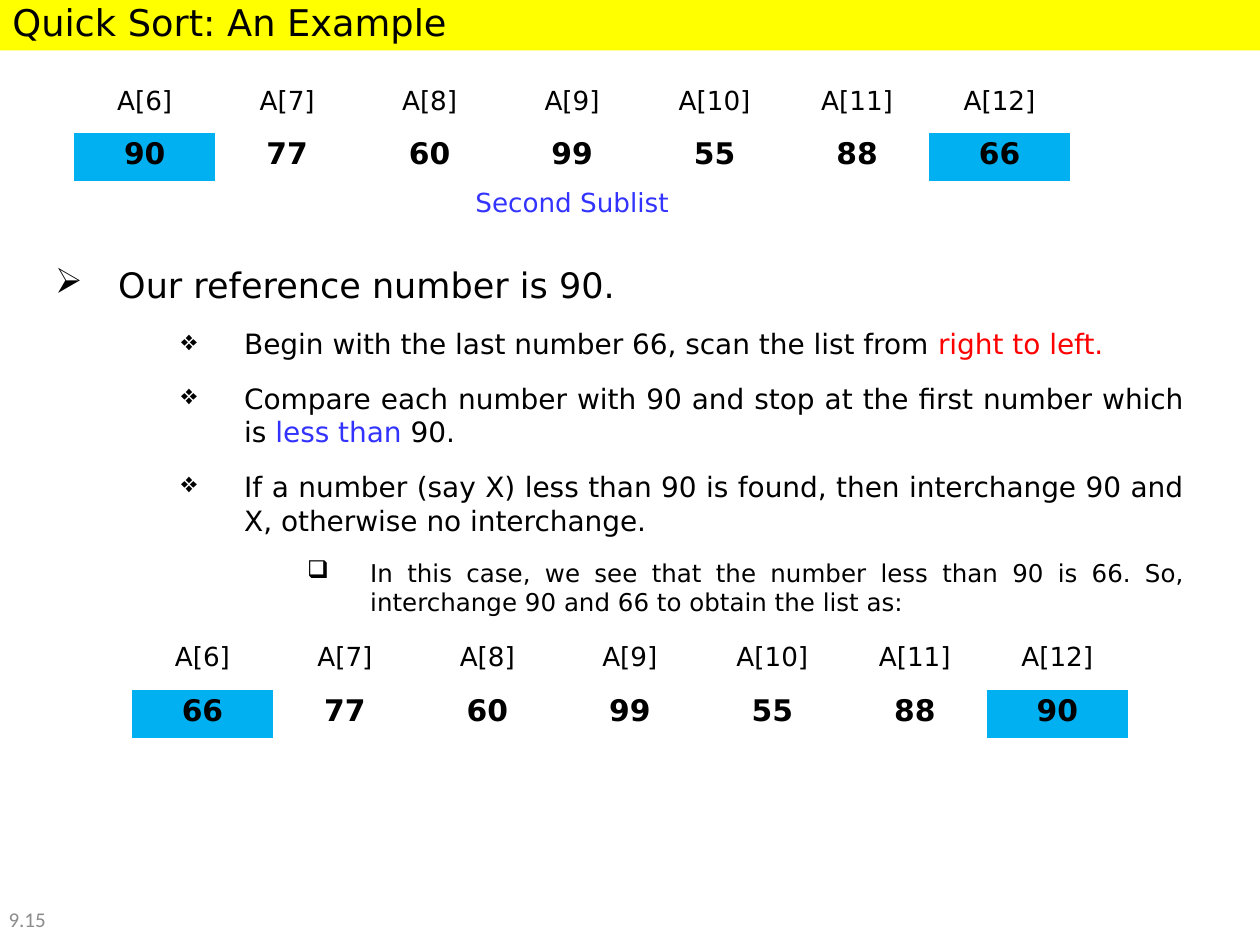
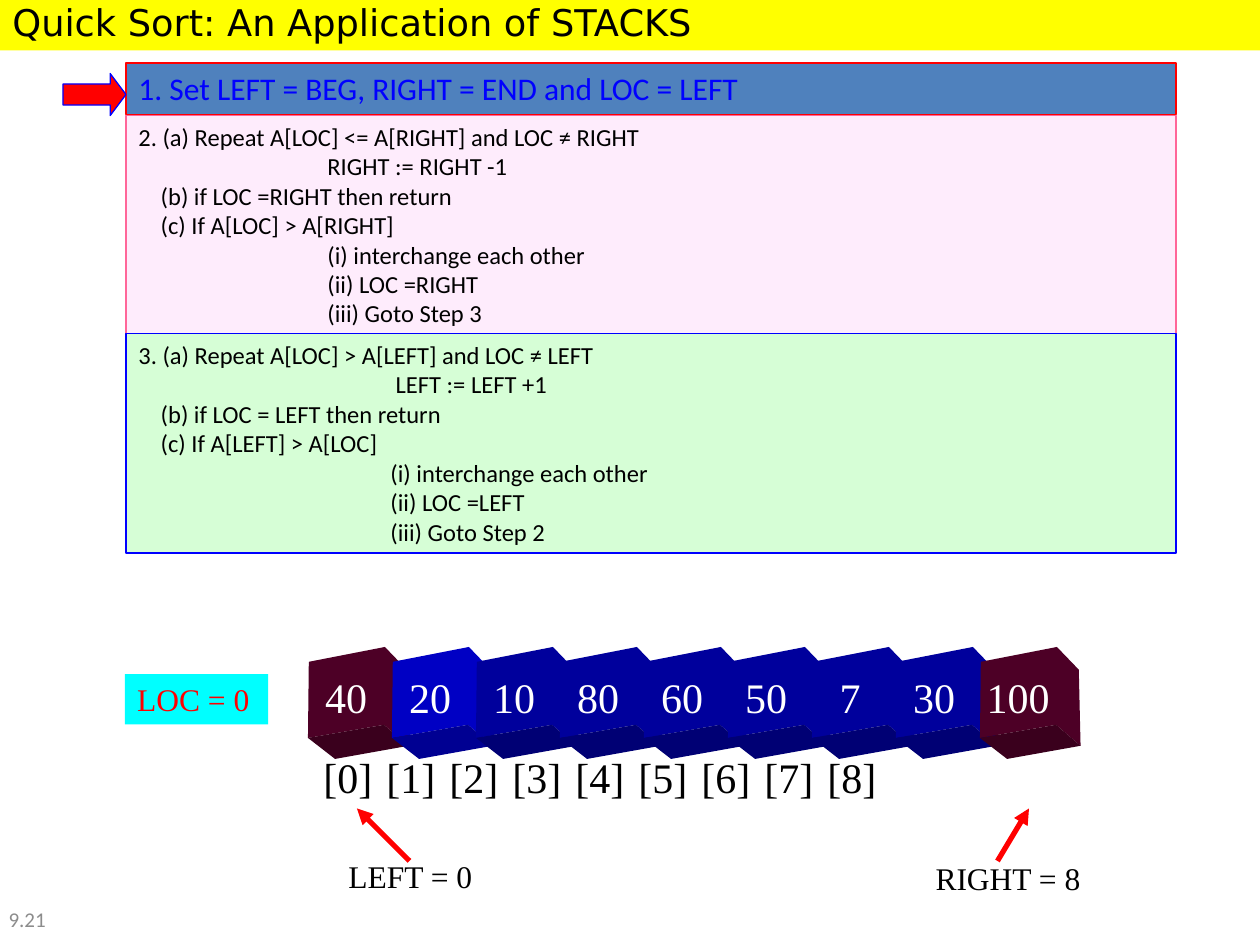
from lxml import etree
from pptx import Presentation
from pptx.dml.color import RGBColor
from pptx.enum.shapes import MSO_CONNECTOR, MSO_SHAPE
from pptx.enum.text import MSO_ANCHOR, PP_ALIGN
from pptx.oxml.ns import qn
from pptx.util import Pt

LEFT, CENTER, JUSTIFY = PP_ALIGN.LEFT, PP_ALIGN.CENTER, PP_ALIGN.JUSTIFY
TOP, MIDDLE = MSO_ANCHOR.TOP, MSO_ANCHOR.MIDDLE
RECTANGLE, RIGHT_ARROW = MSO_SHAPE.RECTANGLE, MSO_SHAPE.RIGHT_ARROW
STRAIGHT = MSO_CONNECTOR.STRAIGHT

BLACK = RGBColor(0x00, 0x00, 0x00)
WHITE = RGBColor(0xFF, 0xFF, 0xFF)
GREY = RGBColor(0x8C, 0x8C, 0x8C)
YELLOW = RGBColor(0xFF, 0xFF, 0x00)
RED = RGBColor(0xFF, 0x00, 0x00)
BLUE = RGBColor(0x00, 0x00, 0xFF)
SOFT_BLUE = RGBColor(0x33, 0x33, 0xFF)
SKY = RGBColor(0x00, 0xB0, 0xF0)
CYAN = RGBColor(0x00, 0xFF, 0xFF)
STEEL = RGBColor(0x4F, 0x81, 0xBD)
PINK = RGBColor(0xFE, 0xEC, 0xFC)
ROSE = RGBColor(0xFF, 0x66, 0x99)
MINT = RGBColor(0xD6, 0xFE, 0xD6)

# Cube colours: body, underside
WINE_CUBE = (RGBColor(0x4D, 0x00, 0x26), RGBColor(0x3A, 0x00, 0x1D))
BRIGHT_CUBE = (RGBColor(0x00, 0x00, 0xC4), RGBColor(0x00, 0x00, 0x92))
NAVY_CUBE = (RGBColor(0x00, 0x00, 0x9C), RGBColor(0x00, 0x00, 0x74))

SANS, BODY, SERIF = "DejaVu Sans", "Calibri", "Times New Roman"

# Slide 1 content
INDEXES = [f"A[{index}]" for index in range(6, 13)]
BEFORE = ["90", "77", "60", "99", "55", "88", "66"]
AFTER = ["66", "77", "60", "99", "55", "88", "90"]
SUBLIST_CAPTION = "Second Sublist"
# Level: bullet, left indent, size
LEVELS = [("➢", 36, 20), ("❖", 108, 16), ("❑", 180, 14)]
EXPLANATION = [
    (0, [("Our reference number is 90.", BLACK)]),
    (1, [("Begin with the last number 66, scan the list from ", BLACK),
         ("right to left.", RED)]),
    (1, [("Compare each number with 90 and stop at the first number which is ", BLACK),
         ("less than ", SOFT_BLUE), ("90.", BLACK)]),
    (1, [("If a number (say X) less than 90 is found, then interchange 90 and X, "
          "otherwise no interchange.", BLACK)]),
    (2, [("In this case, we see that the number less than 90 is 66. So, "
          "interchange 90 and 66 to obtain the list as:", BLACK)]),
]

# Slide 2 content: each step line is (left indent, text)
STEP_1 = [(0, "1. Set LEFT = BEG, RIGHT = END and LOC = LEFT")]
STEP_2 = [
    (0, "2. (a) Repeat A[LOC] <= A[RIGHT] and LOC ≠ RIGHT"),
    (108, "RIGHT := RIGHT -1"),
    (12.75, "(b) if LOC =RIGHT then return"),
    (12.75, "(c) If A[LOC] > A[RIGHT]"),
    (108, "(i) interchange each other"),
    (108, "(ii) LOC =RIGHT"),
    (108, "(iii) Goto Step 3"),
]
STEP_3 = [
    (0, "3. (a) Repeat A[LOC] > A[LEFT] and LOC ≠ LEFT"),
    (147, "LEFT := LEFT +1"),
    (12.75, "(b) if LOC = LEFT then return"),
    (12.75, "(c) If A[LEFT] > A[LOC]"),
    (144, "(i) interchange each other"),
    (144, "(ii) LOC =LEFT"),
    (144, "(iii) Goto Step 2"),
]
# Lines, size, text colour, fill, outline, top, height
STEPS = [
    (STEP_2, 14, BLACK, PINK, ROSE, 66.2, 125.3),
    (STEP_1, 18, BLUE, STEEL, RED, 36, 29.5),
    (STEP_3, 14, BLACK, MINT, BLUE, 190.8, 125.3),
]
CUBES = ([("40", WINE_CUBE), ("20", BRIGHT_CUBE)]
         + [(value, NAVY_CUBE) for value in ("10", "80", "60", "50", "7", "30")]
         + [("100", WINE_CUBE)])
CUBE_LEFT, CUBE_TOP, CUBE_PITCH = 176, 369.7, 48
CUBE_BODY = [(0.5, 8.5), (44, 0), (56.5, 13), (57.5, 56.5), (43.5, 44.5), (0, 52)]
CUBE_UNDERSIDE = [(0, 52), (43.5, 44.5), (57.5, 56.5), (15.5, 64)]
LABEL_GAPS = [52, 46, 52, 46, 46, 52, 46, 46]
# Text, alignment, left, top, width
POINTERS = [("LEFT = 0", LEFT, 192, 486, 126), ("RIGHT = 8", CENTER, 516, 487.5, 120)]
# Start x, end x
POINTER_ARROWS = [(570, 588), (234, 204)]


def style_runs(paragraph, size, color, font, bold=False):
    for run in paragraph.runs:
        run.font.name, run.font.size, run.font.bold = font, Pt(size), bold
        run.font.color.rgb = color


def write_lines(shape, lines, size, color, font, align=LEFT, anchor=TOP, wrap=True):
    """Fill a shape with (left indent, text) lines in one style."""
    frame = shape.text_frame
    frame.word_wrap, frame.vertical_anchor = wrap, anchor
    frame.text = "\n".join(text for _, text in lines)
    for paragraph, (indent, _) in zip(frame.paragraphs, lines):
        properties = paragraph._p.get_or_add_pPr()
        properties.set("marL", str(Pt(indent)))
        properties.set("indent", "0")
        paragraph.alignment = align
        style_runs(paragraph, size, color, font)


def paint(shape, fill, outline=None):
    shape.shadow.inherit = False
    shape.fill.solid()
    shape.fill.fore_color.rgb = fill
    if outline is None:
        shape.line.fill.background()
    else:
        shape.line.color.rgb = outline
        shape.line.width = Pt(0.75)


def add_box(slide, box, fill, outline=None, preset=RECTANGLE):
    shape = slide.shapes.add_shape(preset, *map(Pt, box))
    paint(shape, fill, outline)
    return shape


def add_text(slide, box, text, size, color, font, **layout):
    shape = slide.shapes.add_textbox(*map(Pt, box))
    write_lines(shape, [(0, text)], size, color, font, **layout)
    return shape


def add_polygon(slide, points, left, top, fill):
    corners = [(Pt(left + x), Pt(top + y)) for x, y in points]
    builder = slide.shapes.build_freeform(*corners[0], scale=1.0)
    builder.add_line_segments(corners[1:], close=True)
    shape = builder.convert_to_shape()
    paint(shape, fill)
    return shape


def start_slide(presentation, title, number):
    slide = presentation.slides.add_slide(presentation.slide_layouts[6])
    band = add_box(slide, (0, -3.6, 720, 32.4), YELLOW)
    write_lines(band, [(0, title)], 21, BLACK, SANS)
    add_text(slide, (-2.2, 510.5, 59, 29.5), number, 12, GREY, BODY, anchor=MIDDLE)
    return slide


# Array tables
def set_borders(cell, bottom_width):
    properties = cell._tc.get_or_add_tcPr()
    for side, width in (("L", 1), ("R", 1), ("T", 1), ("B", bottom_width)):
        line = etree.SubElement(properties, qn(f"a:ln{side}"), w=str(Pt(width)))
        solid = etree.SubElement(line, qn("a:solidFill"))
        etree.SubElement(solid, qn("a:srgbClr"), val=str(WHITE))


def add_array_table(slide, left, top, values, caption=None):
    rows = [INDEXES, values]
    if caption:
        rows.append([caption] + [""] * (len(values) - 1))
    column_width, row_height = 81.43, 29.25
    table = slide.shapes.add_table(
        len(rows), len(values), Pt(left), Pt(top),
        Pt(column_width * len(values)), Pt(row_height * len(rows))).table
    table.first_row = table.horz_banding = False
    for column in table.columns:
        column.width = Pt(column_width)
    for row in table.rows:
        row.height = Pt(row_height)
    for row_index, row in enumerate(rows):
        is_values = row_index == 1
        for column_index, text in enumerate(row):
            cell = table.cell(row_index, column_index)
            set_borders(cell, 3 if row_index == 0 else 1)
            if is_values and column_index in (0, len(values) - 1):
                cell.fill.solid()
                cell.fill.fore_color.rgb = SKY
            else:
                cell.fill.background()
            cell.text = text
            paragraph = cell.text_frame.paragraphs[0]
            paragraph.alignment = CENTER
            style_runs(paragraph, 17 if is_values else 15,
                       SOFT_BLUE if row_index == 2 else BLACK, SANS, is_values)
    if caption:
        table.cell(2, 0).merge(table.cell(2, len(values) - 1))


def add_explanation(slide):
    frame = slide.shapes.add_textbox(Pt(24.5), Pt(36.7), Pt(659.5), Pt(482.4)).text_frame
    frame.word_wrap = True
    frame.margin_top = Pt(114)
    for index, (level, parts) in enumerate(EXPLANATION):
        bullet, indent, size = LEVELS[level]
        paragraph = frame.add_paragraph() if index else frame.paragraphs[0]
        properties = paragraph._p.get_or_add_pPr()
        properties.set("marL", str(Pt(indent)))
        properties.set("indent", str(Pt(-36)))
        etree.SubElement(properties, qn("a:buChar"), char=bullet)
        paragraph.alignment = JUSTIFY
        paragraph.space_before = Pt(6 if index else 0)
        paragraph.space_after = Pt(6)
        for text, color in parts:
            run = paragraph.add_run()
            run.text = text
            run.font.name, run.font.size = SANS, Pt(size)
            run.font.color.rgb = color


def add_cubes(slide):
    for index, (value, (body_color, underside_color)) in enumerate(CUBES):
        left = CUBE_LEFT + index * CUBE_PITCH
        body = add_polygon(slide, CUBE_BODY, left, CUBE_TOP, body_color)
        frame = body.text_frame
        frame.margin_left = frame.margin_top = frame.margin_bottom = 0
        frame.margin_right = Pt(14)
        write_lines(body, [(0, value)], 24, WHITE, SERIF, CENTER, MIDDLE, wrap=False)
        add_polygon(slide, CUBE_UNDERSIDE, left, CUBE_TOP, underside_color)


def add_index_labels(slide):
    text = "\t".join(f"[{index}]" for index in range(len(CUBES)))
    shape = add_text(slide, (177.8, 426.2, 440, 36), text, 24, BLACK, SERIF)
    properties = shape.text_frame.paragraphs[0]._p.get_or_add_pPr()
    stops = etree.SubElement(properties, qn("a:tabLst"))
    position = 0
    for gap in LABEL_GAPS:
        position += gap
        etree.SubElement(stops, qn("a:tab"), pos=str(Pt(position)), algn="l")


def add_pointer_arrow(slide, start_x, end_x):
    arrow = slide.shapes.add_connector(STRAIGHT, Pt(start_x), Pt(492), Pt(end_x), Pt(462))
    arrow.line.color.rgb = RED
    arrow.line.width = Pt(3)
    etree.SubElement(arrow.line._get_or_add_ln(), qn("a:tailEnd"), type="triangle")
    etree.SubElement(arrow._element.spPr, qn("a:effectLst"))


def build_example(presentation):
    slide = start_slide(presentation, "Quick Sort: An Example", "9.15")
    add_explanation(slide)
    add_array_table(slide, 42, 45.4, BEFORE, SUBLIST_CAPTION)
    add_array_table(slide, 75, 363.6, AFTER)


def build_stacks(presentation):
    slide = start_slide(presentation, "Quick Sort: An Application of STACKS", "9.21")
    # Algorithm steps, with the marker at the current one
    for lines, size, color, fill, outline, top, height in STEPS:
        box = add_box(slide, (72, top, 600, height), fill, outline)
        write_lines(box, lines, size, color, BODY)
    marker = add_box(slide, (36, 42, 36, 24), RED, BLUE, RIGHT_ARROW)
    marker.adjustments[1] = 0.375
    # Array with its indexes and pointers
    add_cubes(slide)
    add_index_labels(slide)
    location = add_box(slide, (71.3, 385.2, 82, 28.8), CYAN)
    write_lines(location, [(0, "LOC = 0")], 18, RED, SERIF, wrap=False)
    for text, align, left, top, width in POINTERS:
        add_text(slide, (left, top, width, 28.8), text, 18, BLACK, SERIF, align=align)
    for start_x, end_x in POINTER_ARROWS:
        add_pointer_arrow(slide, start_x, end_x)


def main():
    presentation = Presentation()
    presentation.slide_width, presentation.slide_height = Pt(720), Pt(540)
    build_example(presentation)
    build_stacks(presentation)
    presentation.save("out.pptx")


if __name__ == "__main__":
    main()
